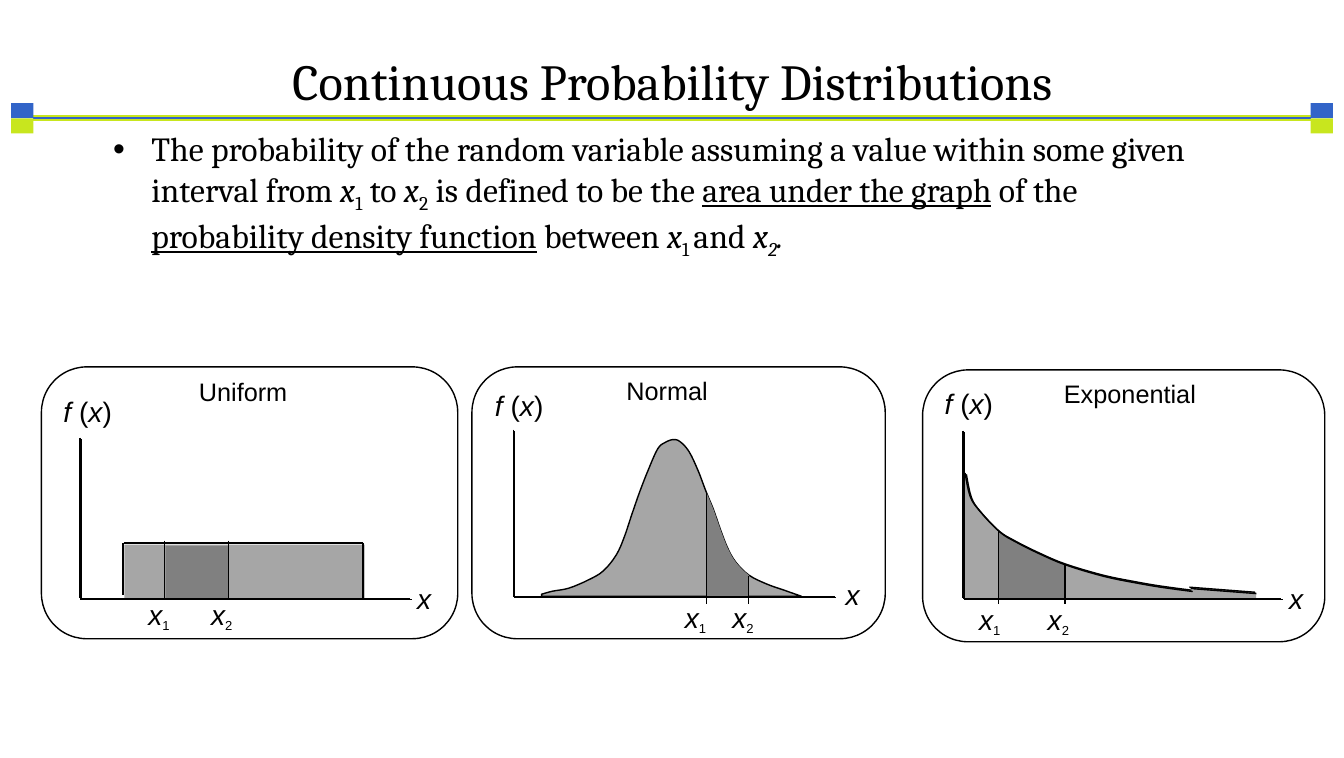
import pptx
import pptx.util
import pptx.dml.color
import pptx.enum.shapes
import pptx.enum.text
import pptx.oxml.ns
from lxml import etree

PX = 9144
INK = {"black": "000000", "lime": "C8E61E", "blue": "3264C8", "light": "A6A6A6", "dark": "808080"}
FORM = pptx.enum.shapes.MSO_SHAPE
ANCHOR = pptx.enum.text.MSO_ANCHOR
BELL = [(536, 588), (547, 585), (563, 582), (582, 574), (597, 565), (610, 549), (618, 531),
        (625, 510), (633, 487), (642, 464), (651, 444), (658, 438), (666, 435), (673, 437),
        (682, 447), (691, 466), (699, 487), (706, 504), (713, 524), (720, 542), (728, 556),
        (741, 569), (759, 578), (776, 584), (793, 590)]
DECAY = [(955, 468), (960, 491), (969, 505), (988, 525), (1004, 535), (1028, 547),
         (1054, 558), (1091, 569), (1120, 575), (1149, 580), (1179, 584)]
TAIL = [(1184, 582), (1212, 584), (1243, 586)]


def color(name):
    return pptx.dml.color.RGBColor.from_string(INK[name])


def node(parent, tag, **attrs):
    return etree.SubElement(parent, pptx.oxml.ns.qn(tag), attrs)


def paint(shape, fill=None, line=None):
    shape.shadow.inherit = False
    if fill:
        shape.fill.solid()
        shape.fill.fore_color.rgb = color(fill)
    else:
        shape.fill.background()
    if line:
        shape.line.color.rgb = color(line)
        shape.line.width = pptx.util.Pt(1)
    else:
        shape.line.fill.background()
    return shape


def cast(item):
    effects = item._element.spPr.find(pptx.oxml.ns.qn("a:effectLst"))
    shade = node(effects, "a:outerShdw", dist="17780", dir="2700000", algn="ctr", rotWithShape="0")
    node(shade, "a:srgbClr", val=INK["black"])


def block(slide, form, box, fill=None, line=None):
    return paint(slide.shapes.add_shape(form, *[n * PX for n in box]), fill, line)


def rule(slide, start, end, width=1, ink="black", shade=False):
    kind = pptx.enum.shapes.MSO_CONNECTOR.STRAIGHT
    line = slide.shapes.add_connector(kind, *[n * PX for n in start + end])
    line.line.color.rgb = color(ink)
    line.line.width = pptx.util.Pt(width)
    node(line._element.spPr, "a:effectLst")
    if shade:
        cast(line)


def trace(slide, points, fill=None, line=None, close=True):
    spots = [(round(x * PX), round(y * PX)) for x, y in points]
    form = slide.shapes.build_freeform(*spots[0], scale=1.0)
    form.add_line_segments(spots[1:], close=close)
    return paint(form.convert_to_shape(), fill, line)


def smooth(knots, steps=4):
    ends = [knots[0]] + knots + [knots[-1]]
    curve = []
    for a, b, c, d in zip(ends, ends[1:], ends[2:], ends[3:]):
        for i in range(steps):
            t = i / steps
            curve.append(tuple(
                q + t * (r - p) / 2 + t * t * (2 * p - 5 * q + 4 * r - s) / 2
                + t ** 3 * (3 * q - p - 3 * r + s) / 2
                for p, q, r, s in zip(a, b, c, d)))
    return curve + [knots[-1]]


def slab(curve, left, right, base):
    part = [(x, y) for x, y in curve if left <= x <= right]
    return part + [(right, base), (left, base)]


def write(slide, box, parts, size, font="Arial", wrap=False, anchor=ANCHOR.TOP):
    frame = slide.shapes.add_textbox(*[n * PX for n in box]).text_frame
    frame.word_wrap = wrap
    frame.vertical_anchor = anchor
    if not wrap:
        frame.auto_size = pptx.enum.text.MSO_AUTO_SIZE.SHAPE_TO_FIT_TEXT
    para = frame.paragraphs[0]
    for text, style in parts:
        run = para.add_run()
        run.text = text
        run.font.name = font
        run.font.size = pptx.util.Pt(16 if "s" in style and not wrap else size)
        run.font.color.rgb = color("black")
        run.font.italic = "i" in style
        run.font.underline = "u" in style
        if "s" in style:
            run._r.get_or_add_rPr().set("baseline", "-25000")
    return para


def frieze(slide):
    for width, ink in [(4.5, "lime"), (1.75, "blue")]:
        rule(slide, (33, 117), (1297, 117), width, ink)
    for left in (11, 1297):
        for top, ink in [(102, "blue"), (117, "lime")]:
            block(slide, FORM.RECTANGLE, (left, top, 22, 15), ink)


def body(slide):
    parts = [("The probability of the random variable assuming a value within some given interval from ", ""),
             ("x", "i"), ("1", "s"), (" to ", ""), ("x", "i"), ("2", "s"),
             (" is defined to be the ", ""), ("area under the graph", "u"), (" of the ", ""),
             ("probability density function", "u"), (" between", ""), (" x", "i"), ("1 ", "s"),
             ("and", ""), (" x", "i"), ("2", "is"), (".", "i")]
    para = write(slide, (102, 122, 1131, 147), parts, 24, "Cambria", True)
    props = para._p.get_or_add_pPr()
    props.set("marL", str(38 * PX))
    props.set("indent", str(-38 * PX))
    node(props, "a:buFont", typeface="Arial")
    node(props, "a:buChar", char="•")


def panel(slide, box, name, place, label, mark):
    frame = block(slide, FORM.ROUNDED_RECTANGLE, box, line="black")
    frame.adjustments[0] = 0.167
    write(slide, place + (47,), [(name, "")], 18)
    write(slide, label + (68, 43), [("f ", "i"), ("(", ""), ("x", "i"), (")", "")], 20)
    write(slide, mark + (34, 43), [("x", "i")], 20)


def axes(slide, left, top, right, base):
    rule(slide, (left, top), (left, base), shade=True)
    rule(slide, (left, base), (right, base), shade=True)


def bounds(slide, ticks, foot, labels, row):
    for i, ((x, top), left) in enumerate(zip(ticks, labels), 1):
        rule(slide, (x, top), (x, foot))
        write(slide, (left, row, 43, 43), [("x", "i"), (str(i), "s")], 20)


def flat(slide):
    panel(slide, (41, 363, 412, 269), "Uniform", (187, 367, 128), (53, 385), (403, 570))
    block(slide, FORM.RECTANGLE, (123, 539, 238, 53), "light")
    for start, end in [((359, 537), (359, 592)), ((123, 537), (359, 537)), ((122, 537), (122, 589))]:
        rule(slide, start, end, 1.5)
    block(slide, FORM.RECTANGLE, (164, 540, 62, 52), "dark")
    axes(slide, 79, 433, 406, 592)
    bounds(slide, [(163, 535), (226, 535)], 594, (137, 199), 586)


def normal(slide):
    panel(slide, (467, 363, 409, 269), "Normal", (610, 366, 120), (480, 379), (827, 566))
    curve = smooth(BELL)
    trace(slide, curve + [(536, 590)], "light", "black")
    trace(slide, slab(curve, 699, 741, 590), "dark")
    axes(slide, 508, 425, 826, 590)
    bounds(slide, [(699, 487), (741, 570)], 598, (668, 715), 589)


def decay(slide):
    panel(slide, (913, 366, 398, 269), "Exponential", (1043, 369, 181), (925, 377), (1266, 570))
    curve = smooth(DECAY)
    trace(slide, slab(curve + TAIL, 955, 1243, 592), "light")
    trace(slide, slab(curve, 988, 1054, 593), "dark")
    cast(trace(slide, curve, line="black", close=False))
    rule(slide, (1177, 581), (1242, 586), shade=True)
    axes(slide, 953, 426, 1268, 592)
    bounds(slide, [(988, 524), (1054, 559)], 598, (959, 1027), 591)


def main():
    deck = pptx.Presentation()
    deck.slide_width, deck.slide_height = 1330 * PX, 750 * PX
    slide = deck.slides.add_slide(deck.slide_layouts[6])
    frieze(slide)
    body(slide)
    for draw in (flat, normal, decay):
        draw(slide)
    title = write(slide, (100, 50, 1131, 67), [("Continuous Probability Distributions", "")],
                  36, "Cambria", True, ANCHOR.MIDDLE)
    title.alignment = pptx.enum.text.PP_ALIGN.CENTER
    title.line_spacing = 0.9
    deck.save("out.pptx")


if __name__ == "__main__":
    main()
